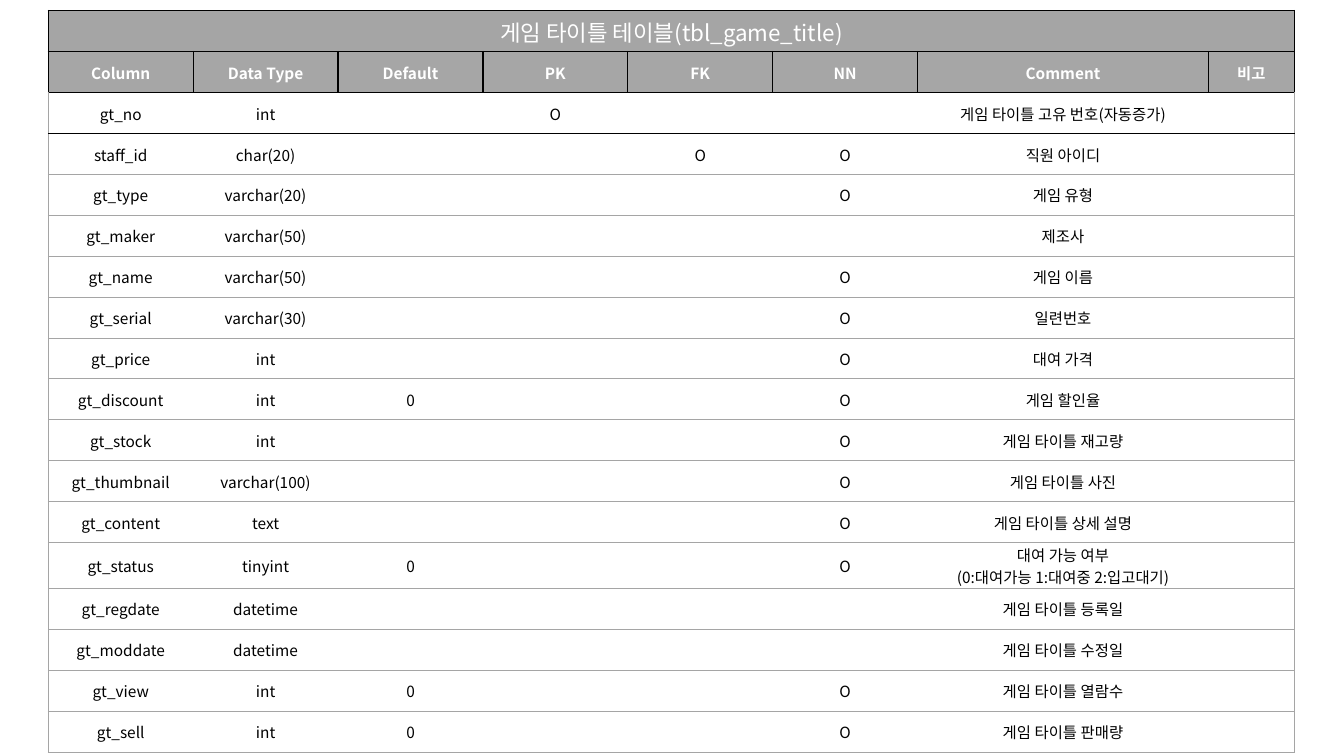
from lxml import etree
from pptx import Presentation
from pptx import util as u
from pptx.dml.color import RGBColor
from pptx.enum import text
from pptx.oxml.ns import qn

PX = 9525  # EMU per px, 96 px to the inch
FONT = "Noto Sans CJK KR"
COLORS = {"title": "A5A5A5", "header": "A6A6A6", "grid": "A5A5A5",
          "black": "000000", "white": "FFFFFF"}
NO_STYLE = "{2D5ABB26-0587-4C30-8999-92F81FD0307C}"
ROW_HEIGHT = 39
COLUMN_WIDTHS = [138] * 6 + [277, 82]

TITLE = "게임 타이틀 테이블(tbl_game_title)"
HEADERS = ["Column", "Data Type", "Default", "PK", "FK", "NN", "Comment", "비고"]
FIELDS = [
    ("gt_no", "int", "", "O", "", "", "게임 타이틀 고유 번호(자동증가)"),
    ("staff_id", "char(20)", "", "", "O", "O", "직원 아이디"),
    ("gt_type", "varchar(20)", "", "", "", "O", "게임 유형"),
    ("gt_maker", "varchar(50)", "", "", "", "", "제조사"),
    ("gt_name", "varchar(50)", "", "", "", "O", "게임 이름"),
    ("gt_serial", "varchar(30)", "", "", "", "O", "일련번호"),
    ("gt_price", "int", "", "", "", "O", "대여 가격"),
    ("gt_discount", "int", "0", "", "", "O", "게임 할인율"),
    ("gt_stock", "int", "", "", "", "O", "게임 타이틀 재고량"),
    ("gt_thumbnail", "varchar(100)", "", "", "", "O", "게임 타이틀 사진"),
    ("gt_content", "text", "", "", "", "O", "게임 타이틀 상세 설명"),
    ("gt_status", "tinyint", "0", "", "", "O",
     "대여 가능 여부\n(0:대여가능 1:대여중 2:입고대기)"),
    ("gt_regdate", "datetime", "", "", "", "", "게임 타이틀 등록일"),
    ("gt_moddate", "datetime", "", "", "", "", "게임 타이틀 수정일"),
    ("gt_view", "int", "0", "", "", "O", "게임 타이틀 열람수"),
    ("gt_sell", "int", "0", "", "", "O", "게임 타이틀 판매량"),
]


def write_cell(cell, content, size=11, bold=False, color="black", fill=None):
    cell.margin_left = cell.margin_right = cell.margin_top = PX
    cell.margin_bottom = 0
    cell.vertical_anchor = text.MSO_ANCHOR.MIDDLE
    if fill:
        cell.fill.solid()
        cell.fill.fore_color.rgb = RGBColor.from_string(COLORS[fill])
    else:
        cell.fill.background()
    cell.text_frame.text = content
    for paragraph in cell.text_frame.paragraphs:
        paragraph.alignment = text.PP_ALIGN.CENTER
        for run in paragraph.runs:
            run.font.size = u.Pt(size)
            run.font.bold = bold
            run.font.color.rgb = RGBColor.from_string(COLORS[color])
            run.font.name = FONT
            east_asian = etree.SubElement(run.font._element, qn("a:ea"))
            east_asian.set("typeface", FONT)


def add_borders(cell, borders):
    """Draw borders given as {side: (colour name, points)}; call before filling."""
    properties = cell._tc.get_or_add_tcPr()
    for side in "LRTB":
        if side in borders:
            color, points = borders[side]
            line = etree.SubElement(properties, qn(f"a:ln{side}"), w=str(u.Pt(points)))
            solid = etree.SubElement(line, qn("a:solidFill"))
            etree.SubElement(solid, qn("a:srgbClr"), val=COLORS[color])


presentation = Presentation()
presentation.slide_width = 1280 * PX
presentation.slide_height = 720 * PX
slide = presentation.slides.add_slide(presentation.slide_layouts[6])

row_count = len(FIELDS) + 2
frame = slide.shapes.add_table(
    row_count, len(HEADERS), 46 * PX, 10 * PX,
    sum(COLUMN_WIDTHS) * PX, row_count * ROW_HEIGHT * PX)
table = frame.table
table.first_row = table.horz_banding = False
table._tbl.tblPr.find(qn("a:tableStyleId")).text = NO_STYLE
for column, width in zip(table.columns, COLUMN_WIDTHS):
    column.width = width * PX
for row in table.rows:
    row.height = ROW_HEIGHT * PX

strong, thin = ("black", 1), ("grid", 0.5)
last_column = len(HEADERS) - 1

# Title and header rows
table.cell(0, 0).merge(table.cell(0, last_column))
for index, header in enumerate(HEADERS):
    for row_index in range(2):
        add_borders(table.cell(row_index, index), dict.fromkeys("LRTB", strong))
    write_cell(table.cell(1, index), header, bold=True, color="white", fill="header")
write_cell(table.cell(0, 0), TITLE, size=16, color="white", fill="title")

# One row per field; the key row is ruled in black
for row_index, field in enumerate(FIELDS, start=2):
    for index, content in enumerate(field + ("",)):
        borders = {"T": strong if row_index <= 3 else thin,
                   "B": strong if row_index == 2 else thin}
        if index == 0:
            borders["L"] = thin
        if index == last_column:
            borders["R"] = thin
        cell = table.cell(row_index, index)
        add_borders(cell, borders)
        write_cell(cell, content)

presentation.save("out.pptx")
